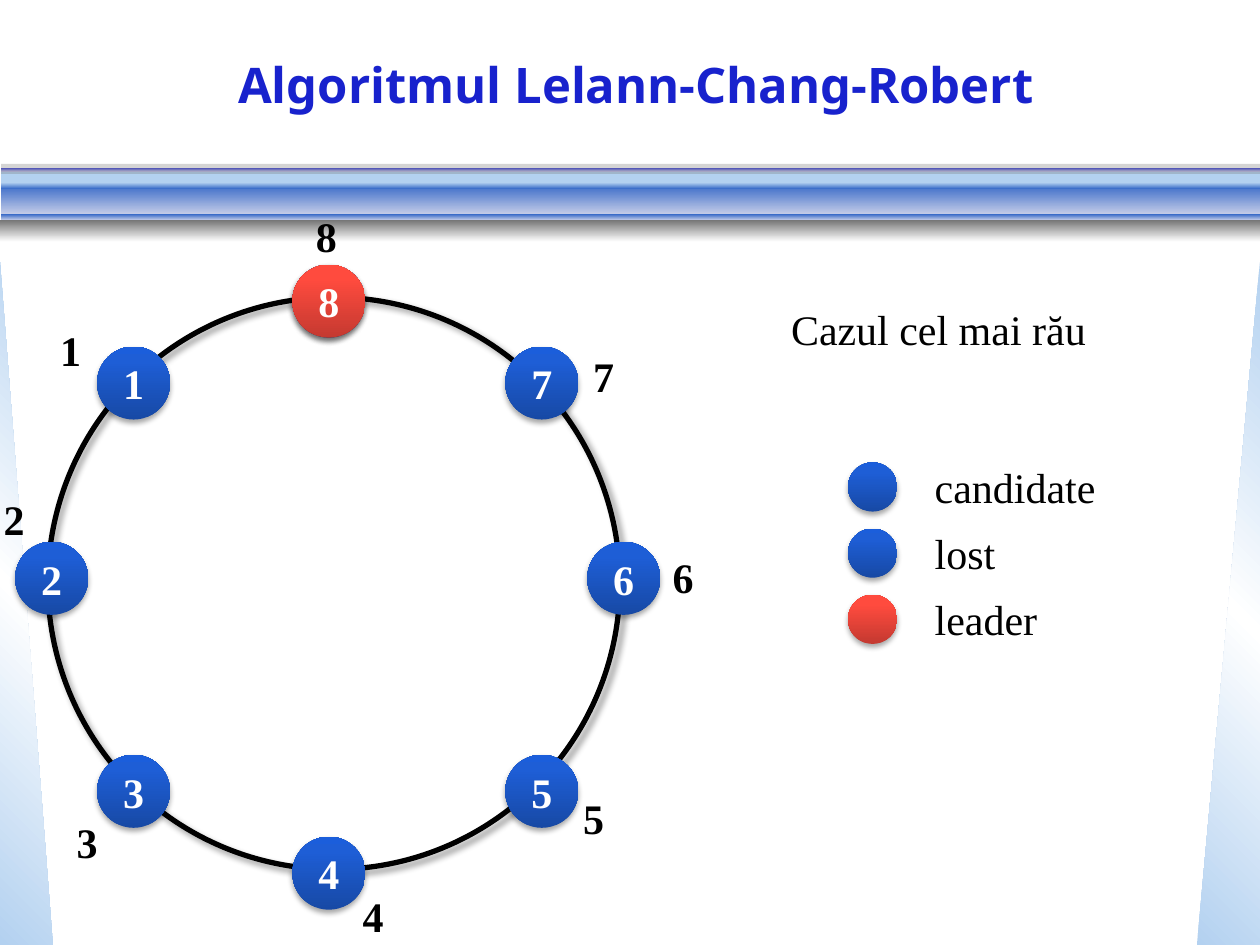
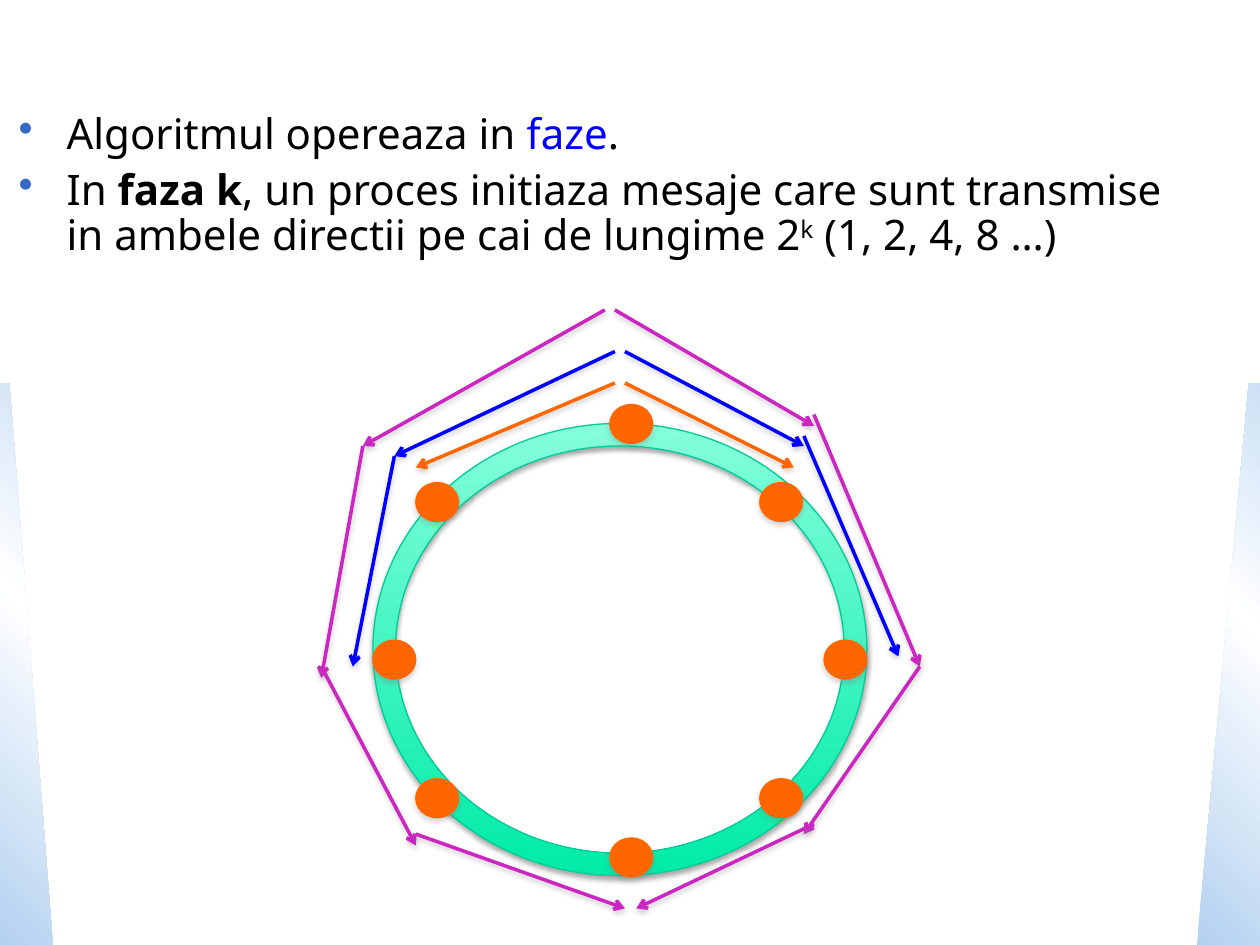
from lxml import etree
from pptx import Presentation
from pptx.dml.color import RGBColor as RGB
from pptx.enum import shapes as es, text as et
from pptx.oxml.ns import qn
from pptx.util import Inches, Pt

BLACK, WHITE = RGB(0, 0, 0), RGB(255, 255, 255)
GRAY, SHADE = RGB(0x77, 0x77, 0x77), RGB(0x80, 0x80, 0x80)
SKY, MIST = RGB(0xB3, 0xD1, 0xF0), RGB(0xCA, 0xD0, 0xE9)
STEEL, NAVY = RGB(0x35, 0x68, 0xC7), RGB(0x18, 0x22, 0xCD)
LILAC, BLUE = RGB(0xBA, 0xBB, 0xE7), RGB(0, 0, 255)
ORANGE, PINK = RGB(0xFF, 0x66, 0), RGB(0xCC, 0x26, 0xC2)
MINT, JADE, EDGE = RGB(0x85, 0xFF, 0xDB), RGB(0, 0xEB, 0xA8), RGB(0, 0xCC, 0x98)
SANS, SERIF = "Noto Sans", "Times New Roman"
MSO = es.MSO_SHAPE

COOL = [(0, RGB(0x17, 0x49, 0xA5)), (80, RGB(0x1E, 0x5E, 0xD6)), (100, RGB(0x1B, 0x5E, 0xDB))]
WARM = [(0, RGB(0xC4, 0x39, 0x30)), (80, RGB(0xFF, 0x4B, 0x3E)), (100, RGB(0xFF, 0x4C, 0x3F))]
GLOW = [(0, SKY), (50, WHITE), (100, SKY)]
SOFT, LOW = (BLACK, 35, 3.15, 1.8, 90), (SHADE, 35, 3.15, 1.8, 90)
DEEP, THIN = (BLACK, 40, 4, 3, 45), (SHADE, 38, 3.15, 1.6, 90)

BANDS = [
    (0.01, 1.36, 0.1, SKY, SKY),
    (0.01, 1.46, 0.25, STEEL, MIST),
    (0.01, 1.33, 0.03, NAVY, LILAC),
    (0.01, 1.7, 0.05, STEEL, MIST),
    (0.01, 1.45, 0.05, SKY, STEEL),
    (0, 1.75, 0.17, GRAY, WHITE),
]

TITLE = "Algoritmul Lelann-Chang-Robert"
CASE = "Cazul cel mai rău"
NODES = [
    ("1", 0.77, 2.75, 0.38, 2.53),
    ("8", 2.32, 2.1, 2.41, 1.62),
    ("7", 4.01, 2.75, 4.61, 2.73),
    ("2", 0.12, 4.3, -0.07, 3.87),
    ("3", 0.77, 5.99, 0.51, 6.43),
    ("4", 2.32, 6.64, 2.78, 7.02),
    ("6", 4.66, 4.3, 5.24, 4.33),
    ("5", 4.01, 5.99, 4.53, 6.24),
]
KEYS = [("candidate", COOL), ("lost", COOL), ("leader", WARM)]

POINTS = [
    [("Algoritmul opereaza in ", ""), ("faze", "blue"), (".", "")],
    [("In ", ""), ("faza k", "bold"),
     (", un proces initiaza mesaje care sunt transmise in ambele directii pe cai de lungime 2", ""),
     ("k", "super"), (" (1, 2, 4, 8 …)", "")],
]
DOTS = [(3.3, 6.18), (4.84, 3.21), (4.84, 6.65), (2.96, 5.08),
        (6.54, 5.08), (6.03, 3.83), (3.3, 3.83), (6.03, 6.18)]
PHASES = [
    (ORANGE, [(4.96, 3.04, 6.3, 3.71), (4.88, 3.04, 3.3, 3.71)]),
    (BLUE, [(4.88, 2.79, 3.13, 3.62), (3.13, 3.62, 2.8, 5.29),
            (4.96, 2.79, 6.38, 3.54), (6.38, 3.46, 7.13, 5.21)]),
    (PINK, [(4.8, 2.46, 2.88, 3.54), (2.88, 3.54, 2.55, 5.38),
            (2.55, 5.29, 3.3, 6.71), (4.88, 2.46, 6.46, 3.38),
            (6.46, 3.29, 7.3, 5.29), (7.3, 5.29, 6.38, 6.62),
            (3.3, 6.62, 4.96, 7.21), (6.46, 6.54, 5.05, 7.21)]),
]


def sub(node, tag, **attrs):
    return etree.SubElement(node, qn(tag), {k: str(v) for k, v in attrs.items()})


def shadow(shape, look):
    color, alpha, blur, dist, angle = look
    props = shape._element.spPr
    box = props.find(qn("a:effectLst"))
    if box is None:
        box = sub(props, "a:effectLst")
    cast = sub(box, "a:outerShdw", blurRad=Pt(blur), dist=Pt(dist),
               dir=angle * 60000, rotWithShape=0)
    sub(sub(cast, "a:srgbClr", val=color), "a:alpha", val=alpha * 1000)


def blend(shape, stops, angle):
    shape.fill.gradient()
    shape.fill.gradient_angle = (360 - angle) % 360
    bag = shape._element.spPr.find(qn("a:gradFill")).find(qn("a:gsLst"))
    for old in list(bag):
        bag.remove(old)
    for pos, color in stops:
        sub(sub(bag, "a:gs", pos=pos * 1000), "a:srgbClr", val=color)


def draw(slide, kind, x, y, w, h, fill=None, angle=90, line=None, width=0.75, look=None):
    shape = slide.shapes.add_shape(kind, Inches(x), Inches(y), Inches(w), Inches(h))
    shape.shadow.inherit = False
    if fill is None:
        shape.fill.background()
    elif isinstance(fill, list):
        blend(shape, fill, angle)
    else:
        shape.fill.solid()
        shape.fill.fore_color.rgb = fill
    if line is None:
        shape.line.fill.background()
    else:
        shape.line.color.rgb = line
        shape.line.width = Pt(width)
    if look:
        shadow(shape, look)
    return shape


def style(par, size, face, color, bold=False):
    font = par.font
    font.size, font.name, font.bold = Pt(size), face, bold
    font.color.rgb = color


def label(slide, words, x, y, w, bold=False):
    frame = slide.shapes.add_textbox(Inches(x), Inches(y), Inches(w), Inches(0.5)).text_frame
    frame.word_wrap = False
    frame.text = words
    style(frame.paragraphs[0], 24, SERIF, BLACK, bold)


def ball(slide, x, y, size, fill, words=None):
    shape = draw(slide, MSO.OVAL, x, y, size, size, fill, 270, look=SOFT)
    if words:
        frame = shape.text_frame
        frame.margin_left = frame.margin_right = 0
        frame.vertical_anchor = et.MSO_ANCHOR.MIDDLE
        frame.text = words
        par = frame.paragraphs[0]
        par.alignment = et.PP_ALIGN.CENTER
        style(par, 24, SERIF, WHITE, True)


def arrow(slide, x1, y1, x2, y2, color):
    link = slide.shapes.add_connector(es.MSO_CONNECTOR.STRAIGHT, Inches(x1), Inches(y1),
                                      Inches(x2), Inches(y2))
    link.line.color.rgb = color
    link.line.width = Pt(2)
    sub(link._element.spPr.find(qn("a:ln")), "a:tailEnd", type="arrow")
    shadow(link, THIN)


def base(deck):
    slide = deck.slides.add_slide(deck.slide_layouts[6])
    draw(slide, MSO.RIGHT_TRIANGLE, 0, 2.08, 0.42, 5.42, GLOW, 315)
    right = draw(slide, MSO.RIGHT_TRIANGLE, 9.5, 2.08, 0.5, 5.42, GLOW, 45)
    right._element.spPr.find(qn("a:xfrm")).set("flipH", "1")
    for x, y, h, top, end in BANDS:
        draw(slide, MSO.RECTANGLE, x, y, 10 - x, h, [(0, top), (100, end)])
    veil = draw(slide, MSO.RECTANGLE, 0.01, 1.3, 9.99, 0.08, GRAY)
    tint = veil._element.spPr.find(qn("a:solidFill"))
    sub(tint[0], "a:alpha", val=31000)
    return slide


def ring(deck):
    slide = base(deck)
    frame = slide.shapes.add_textbox(Inches(0.17), Inches(0.08), Inches(9.75),
                                     Inches(1.17)).text_frame
    frame.word_wrap = True
    frame.vertical_anchor = et.MSO_ANCHOR.MIDDLE
    frame.text = TITLE
    par = frame.paragraphs[0]
    par.alignment = et.PP_ALIGN.CENTER
    style(par, 28, SANS, NAVY, True)
    draw(slide, MSO.OVAL, 0.38, 2.36, 4.54, 4.54, line=BLACK, width=3, look=DEEP)
    for name, x, y, _, _ in NODES:
        ball(slide, x, y, 0.58, COOL, name)
    ball(slide, 2.32, 2.1, 0.58, WARM, "8")
    for name, _, _, x, y in NODES:
        label(slide, name, x, y, 0.37, True)
    for i, (name, fill) in enumerate(KEYS):
        y = 3.67 + i * 0.525
        ball(slide, 6.73, y, 0.39, fill)
        label(slide, name, 7.32, y - 0.06, 1.49)
    label(slide, CASE, 6.18, 2.36, 2.56)


def phases(deck):
    slide = base(deck)
    draw(slide, MSO.RECTANGLE, 0, 0.76, 10, 2.28, WHITE)
    frame = slide.shapes.add_textbox(Inches(0.05), Inches(0.85), Inches(9.58),
                                     Inches(1.67)).text_frame
    frame.word_wrap = True
    for i, parts in enumerate(POINTS):
        par = frame.add_paragraph() if i else frame.paragraphs[0]
        style(par, 24, SANS, BLACK)
        par.space_before = Pt(6)
        par.line_spacing = 0.9
        props = par._p.get_or_add_pPr()
        props.set("marL", str(Inches(0.38)))
        props.set("indent", str(Inches(-0.38)))
        mark = etree.Element(qn("a:buClr"))
        sub(mark, "a:srgbClr", val=STEEL)
        dot = etree.Element(qn("a:buChar"), char="•")
        rest = props.find(qn("a:defRPr"))
        rest.addprevious(mark)
        rest.addprevious(dot)
        for words, kind in parts:
            run = par.add_run()
            run.text = words
            if kind == "blue":
                run.font.color.rgb = BLUE
            elif kind == "bold":
                run.font.bold = True
            elif kind == "super":
                run.font._element.set("baseline", "30000")
    hoop = draw(slide, MSO.DONUT, 2.96, 3.36, 3.92, 3.59, [(0, MINT), (100, JADE)],
                line=EDGE, look=SOFT)
    hoop.adjustments[0] = 0.05
    for x, y in DOTS:
        draw(slide, MSO.FLOWCHART_CONNECTOR, x, y, 0.34, 0.31, ORANGE, line=ORANGE, look=LOW)
    for color, steps in PHASES:
        for step in steps:
            arrow(slide, *step, color)


def main():
    deck = Presentation()
    deck.slide_width, deck.slide_height = Inches(10), Inches(7.5)
    ring(deck)
    phases(deck)
    deck.save("out.pptx")


if __name__ == "__main__":
    main()
